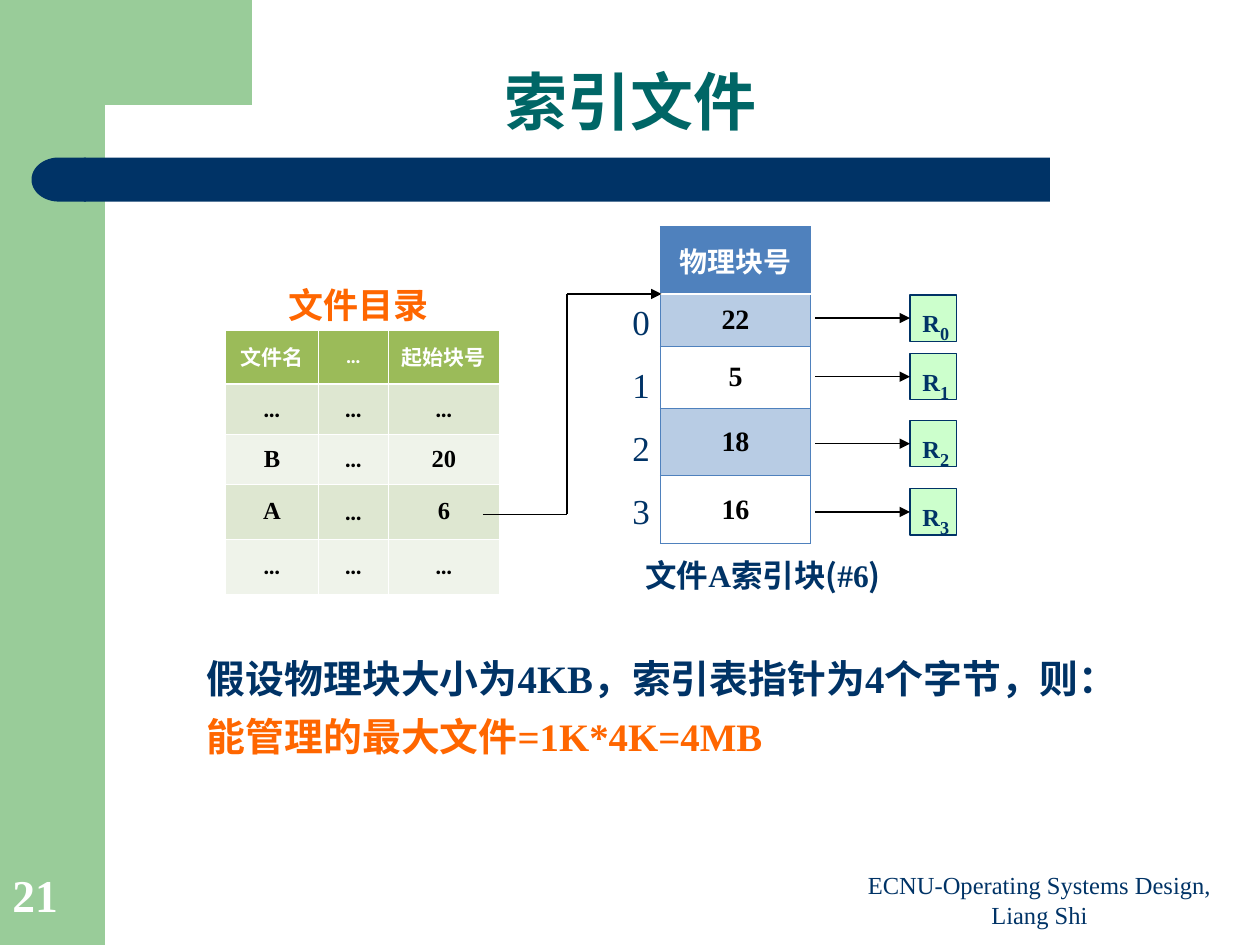
from itertools import pairwise

from lxml import etree
from pptx import Presentation
from pptx import util as u
from pptx.dml.color import RGBColor
from pptx.enum import shapes, text
from pptx.oxml import ns

GREEN = RGBColor(0x99, 0xCC, 0x99)
NAVY = RGBColor(0x00, 0x33, 0x66)
TEAL = RGBColor(0x00, 0x66, 0x66)
ORANGE = RGBColor(0xFF, 0x66, 0x00)
WHITE = RGBColor(0xFF, 0xFF, 0xFF)
BLACK = RGBColor(0x00, 0x00, 0x00)
OLIVE = RGBColor(0x9B, 0xBB, 0x59)
OLIVE_MID = RGBColor(0xDE, 0xE7, 0xD1)
OLIVE_PALE = RGBColor(0xEF, 0xF3, 0xEA)
BLUE = RGBColor(0x4F, 0x81, 0xBD)
MINT = RGBColor(0xCC, 0xFF, 0xCC)

CJK, TIMES, CALIBRI, ARIAL = "Noto Sans CJK SC", "Times New Roman", "Calibri", "Arial"
CENTER = text.PP_ALIGN.CENTER
MIDDLE, BOTTOM = text.MSO_ANCHOR.MIDDLE, text.MSO_ANCHOR.BOTTOM


def child(parent, tag, **attributes):
    return etree.SubElement(parent, ns.qn(tag), attributes)


def write(para, spans, size, color, bold=True, align=CENTER):
    para.alignment = align
    para.font.size, para.font.bold = u.Pt(size), bold
    para.font.color.rgb = color
    if len(spans) == 1:
        para.font.name = spans[0][1]
    for words, name in spans:
        span = para.add_run()
        span.text = words
        if len(spans) > 1:
            span.font.name = name
        if any(letter > "\u2e80" for letter in words):
            child(span._r.get_or_add_rPr(), "a:ea", typeface=CJK)


def place(box, left, top, width, height):
    box.left, box.top = u.Pt(left), u.Pt(top)
    box.width, box.height = u.Pt(width), u.Pt(height)


def add_label(page, area, spans, size, color, anchor=text.MSO_ANCHOR.TOP, **style):
    box = page.shapes.add_textbox(*map(u.Pt, area))
    box.text_frame.word_wrap = True
    box.text_frame.vertical_anchor = anchor
    write(box.text_frame.paragraphs[0], spans, size, color, **style)
    return box


def paint(box, fill, line=None):
    box.shadow.inherit = False
    box.fill.solid()
    box.fill.fore_color.rgb = fill
    if line is None:
        box.line.fill.background()
    else:
        box.line.color.rgb, box.line.width = line, u.Pt(0.75)


def add_block(page, kind, area, fill, line=None):
    box = page.shapes.add_shape(kind, *map(u.Pt, area))
    paint(box, fill, line)
    return box


def add_line(parent, start, end, arrow=False):
    line = parent.shapes.add_connector(
        shapes.MSO_CONNECTOR.STRAIGHT, *map(u.Pt, (*start, *end)))
    line.line.color.rgb, line.line.width = BLACK, u.Pt(0.75)
    child(line._element.spPr, "a:effectLst")
    if arrow:
        child(line.line._get_or_add_ln(), "a:tailEnd", type="triangle")
    return line


def add_border(cell, side, color, width):
    line = child(cell._tc.get_or_add_tcPr(), f"a:{side}", w=str(u.Pt(width)))
    child(child(line, "a:solidFill"), "a:srgbClr", val=str(color))


def add_grid(page, left, top, widths, heights, rows, fills, edge, sizes):
    table = page.shapes.add_table(
        len(rows), len(widths), *map(u.Pt, (left, top, sum(widths), sum(heights)))).table
    for column, width in zip(table.columns, widths):
        column.width = u.Pt(width)
    for r, (values, height) in enumerate(zip(rows, heights)):
        table.rows[r].height = u.Pt(height)
        for c, value in enumerate(values):
            cell = table.cell(r, c)
            cell.vertical_anchor = MIDDLE
            for side in ("lnL", "lnR", "lnT", "lnB"):
                heavy = (r, side) in ((0, "lnB"), (1, "lnT"))
                add_border(cell, side, WHITE if heavy else edge, 1.47 if heavy else 0.45)
            fill, opacity = fills[0] if r == 0 else fills[2 - r % 2 - 0 if r % 2 == 0 else 1]
            if fill is None:
                cell.fill.background()
            else:
                cell.fill.solid()
                cell.fill.fore_color.rgb = fill
                if opacity < 100:
                    tint = cell._tc.tcPr.find(".//" + ns.qn("a:solidFill") + "[last()]/..")
                    tint = cell._tc.tcPr.find(ns.qn("a:solidFill"))[0]
                    child(tint, "a:alpha", val=str(opacity * 1000))
            name = CALIBRI if r == 0 or value == "…" else TIMES
            write(cell.text_frame.paragraphs[0], [(value, name)],
                  sizes[min(r, 1)], BLACK if r else WHITE)


def add_frame(page):
    add_block(page, shapes.MSO_SHAPE.RECTANGLE, (0, 0, 60, 540), GREEN)
    outline = page.shapes.build_freeform(144, 0, scale=u.Pt(1))
    outline.add_line_segments([
        (144, 60), (60, 60.5), (55.4, 61.2), (51.1, 66.2), (49, 74.9),
        (48.2, 83.5), (48.2, 92.2), (36, 92.2), (36, 0)])
    paint(outline.convert_to_shape(), GREEN)
    add_block(page, shapes.MSO_SHAPE.RECTANGLE, (48, 90, 552, 25.2), NAVY)
    cap = add_block(page, shapes.MSO_SHAPE.FLOWCHART_DELAY, (18, 90, 31, 25.2), NAVY)
    cap.rotation = 180
    add_label(page, (480, 497, 228, 37.5),
              [("ECNU-Operating Systems Design, Liang Shi", TIMES)],
              14, NAVY, BOTTOM, bold=False)
    add_label(page, (0, 492, 59, 38), [("21", TIMES)], 26, WHITE, BOTTOM,
              align=text.PP_ALIGN.LEFT)


def add_title(page, area):
    title = page.shapes.title
    place(title, *area)
    title.text_frame.vertical_anchor = MIDDLE
    para = title.text_frame.paragraphs[0]
    para.line_spacing = 0.9
    write(para, [("索引文件", CJK)], 36, TEAL)


def add_conclusion(page, area):
    body = page.placeholders[1]
    place(body, *area)
    frame = body.text_frame
    frame.auto_size = text.MSO_AUTO_SIZE.NONE
    lines = [
        ([("假设物理块大小为", CJK), ("4KB", TIMES), ("，索引表指针为", CJK),
          ("4", TIMES), ("个字节，则：", CJK)], NAVY, 0.9, 0),
        ([("能管理的最大文件", ARIAL), ("=1K*4K=4MB", TIMES)], ORANGE, 1.0, 6)]
    for number, (spans, color, spacing, before) in enumerate(lines):
        para = frame.add_paragraph() if number else frame.paragraphs[0]
        para.level = 1
        para.line_spacing, para.space_before = spacing, u.Pt(before)
        properties = para._p.get_or_add_pPr()
        properties.set("marL", str(u.Pt(58.5)))
        properties.set("indent", str(u.Pt(-22.5)))
        child(properties, "a:buNone")
        write(para, spans, 22.2, color, align=text.PP_ALIGN.JUSTIFY)


def add_directory(page, left, top):
    add_label(page, (left + 27.5, top, 96.5, 31.5),
              [("文件", ARIAL), ("目录", TIMES)], 20, ORANGE)
    rows = [("文件名", "…", "起始块号"), ("…", "…", "…"), ("B", "…", "20"),
            ("A", "…", "6"), ("…", "…", "…")]
    add_grid(page, left, top + 30, (52.8, 40.2, 63.4), (30.8, 28.7, 28.7, 31.4, 31.4),
             rows, [(OLIVE, 100), (OLIVE_MID, 100), (OLIVE_PALE, 100)], WHITE, (12, 14))


def add_index_block(page, left, top):
    rows = [("物理块号",), ("22",), ("5",), ("18",), ("16",)]
    add_grid(page, left, top, (86,), (38.6, 29.8, 35.4, 38.6, 38.9), rows,
             [(BLUE, 100), (BLUE, 40), (None, 100)], BLUE, (16, 16))
    add_label(page, (left - 20, top + 185, 157.5, 50.5),
              [("文件", CJK), ("A", TIMES), ("索引块(", CJK), ("#6", TIMES), (")", CJK)],
              18, NAVY)
    numbers = add_label(page, (left - 23, top + 26.5, 25.5, 151), [("0", TIMES)],
                        20, NAVY, bold=False, align=text.PP_ALIGN.LEFT).text_frame
    for number in "123":
        write(numbers.add_paragraph(), [(number, TIMES)], 20, NAVY, False,
              text.PP_ALIGN.LEFT)
    for para in numbers.paragraphs:
        para.line_spacing = 1.5


def add_records(page, left, tops):
    size = 26.5
    for number, top in enumerate(tops):
        record = add_block(page, shapes.MSO_SHAPE.RECTANGLE,
                           (left, top, size, size), MINT, NAVY)
        middle = top + size / 2
        arrow = add_line(page, (left - 54, middle), (left, middle), True)
        arrow.end_connect(record, 1)
        label = add_label(page, (left - 4, top, 37.5, 31.5), [("R", TIMES)], 14, NAVY)
        index = label.text_frame.paragraphs[0].add_run()
        index.text, index.font.size = str(number), u.Pt(18)
        index._r.get_or_add_rPr().set("baseline", "-25000")


def add_pointer(page, corners):
    group = page.shapes.add_group_shape()
    for start, end in pairwise(corners):
        add_line(group, start, end, end == corners[-1])


def main():
    deck = Presentation()
    deck.slide_width, deck.slide_height = u.Pt(720), u.Pt(540)
    page = deck.slides.add_slide(deck.slide_layouts[1])
    add_frame(page)
    add_title(page, (0, 36, 720, 48))
    add_conclusion(page, (75, 373.5, 602, 84))
    add_directory(page, 129, 158.5)
    add_index_block(page, 377.3, 129.4)
    add_records(page, 520, (168.5, 202, 240.3, 279.3))
    add_pointer(page, [(276, 294), (324, 294), (324, 168), (378, 168)])
    deck.save("out.pptx")


if __name__ == "__main__":
    main()
